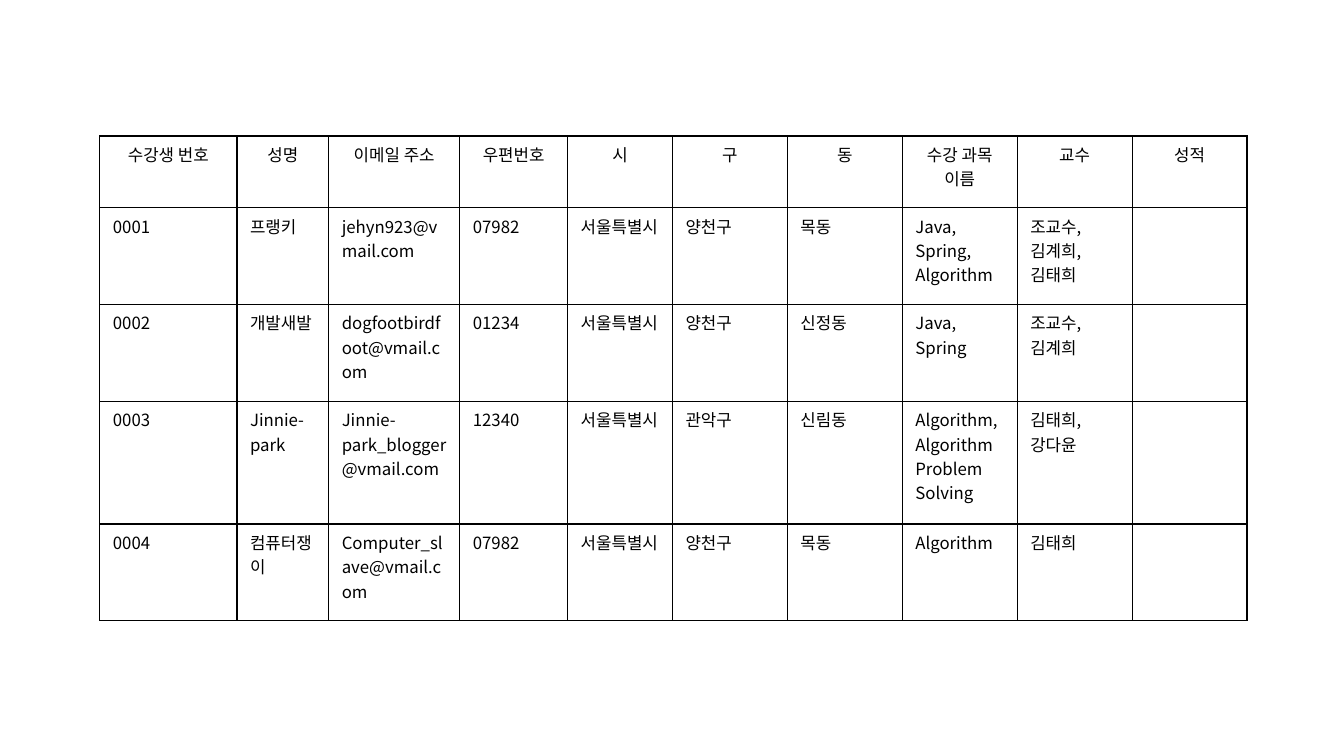
from lxml.etree import SubElement as Sub
from pptx import Presentation
from pptx.dml.color import RGBColor as RGB
from pptx.enum.text import PP_ALIGN as Align
from pptx.oxml.ns import qn
from pptx.util import Inches, Pt

HEAD = ["수강생 번호", "성명", "이메일 주소", "우편번호", "시", "구", "동",
        "수강 과목 이름", "교수", "성적"]
ROWS = [
    ["0001", "프랭키", "jehyn923@vmail.com", "07982", "서울특별시", "양천구", "목동",
     "Java, Spring, Algorithm", "조교수, 김계희, 김태희", ""],
    ["0002", "개발새발", "dogfootbirdfoot@vmail.com", "01234", "서울특별시", "양천구", "신정동",
     "Java, Spring", "조교수, 김계희", ""],
    ["0003", "Jinnie-park", "Jinnie-park_blogger@vmail.com", "12340", "서울특별시", "관악구",
     "신림동", "Algorithm, Algorithm Problem Solving", "김태희, 강다윤", ""],
    ["0004", "컴퓨터쟁이", "Computer_slave@vmail.com", "07982", "서울특별시", "양천구", "목동",
     "Algorithm", "김태희", ""],
]
WIDTHS = [1.36, 0.91, 1.3, 1.07, 1.04] + [1.14] * 5
HEIGHTS = [0.71, 0.96, 0.96, 1.22, 0.96]


def color(code):
    return RGB.from_string(code)


class Page:
    """Draw styled elements on one slide."""

    def __init__(self, slide):
        self.slide = slide
        self.face = "Noto Sans CJK KR"
        self.ink = "000000"
        self.font = {"name": self.face, "size": Pt(12), "bold": False}
        self.pad = {"margin_left": Inches(0.13), "margin_right": Inches(0.13),
                    "margin_top": Inches(0.06), "margin_bottom": Inches(0.06)}

    def label(self, cell, text, align):
        para = cell.text_frame.paragraphs[0]
        para.alignment = align
        run = para.add_run()
        run.text = text
        run.font.color.rgb = color(self.ink)
        for key, value in self.font.items():
            setattr(run.font, key, value)
        Sub(run._r.get_or_add_rPr(), qn("a:ea"), typeface=self.face)

    def frame(self, cell):
        props = cell._tc.get_or_add_tcPr()
        for side in "LRTB":
            line = Sub(props, qn("a:ln" + side), w=str(Pt(1)))
            fill = Sub(line, qn("a:solidFill"))
            Sub(fill, qn("a:srgbClr"), val=self.ink)
        cell.fill.background()
        for key, value in self.pad.items():
            setattr(cell, key, value)

    def table(self, left, top, widths, heights, rows):
        table = self.slide.shapes.add_table(
            len(rows), len(widths), Inches(left), Inches(top),
            Inches(sum(widths)), Inches(sum(heights))).table
        table.first_row = table.horz_banding = False
        for col, width in zip(table.columns, widths):
            col.width = Inches(width)
        for i, (row, height) in enumerate(zip(table.rows, heights)):
            row.height = Inches(height)
            for cell, text in zip(row.cells, rows[i]):
                self.frame(cell)
                if text:
                    self.label(cell, text, Align.LEFT if i else Align.CENTER)


def main():
    deck = Presentation()
    deck.slide_width, deck.slide_height = Inches(13.33), Inches(7.5)
    page = Page(deck.slides.add_slide(deck.slide_layouts[6]))
    page.table(0.99, 1.35, WIDTHS, HEIGHTS, [HEAD] + ROWS)
    deck.save("out.pptx")


if __name__ == "__main__":
    main()
